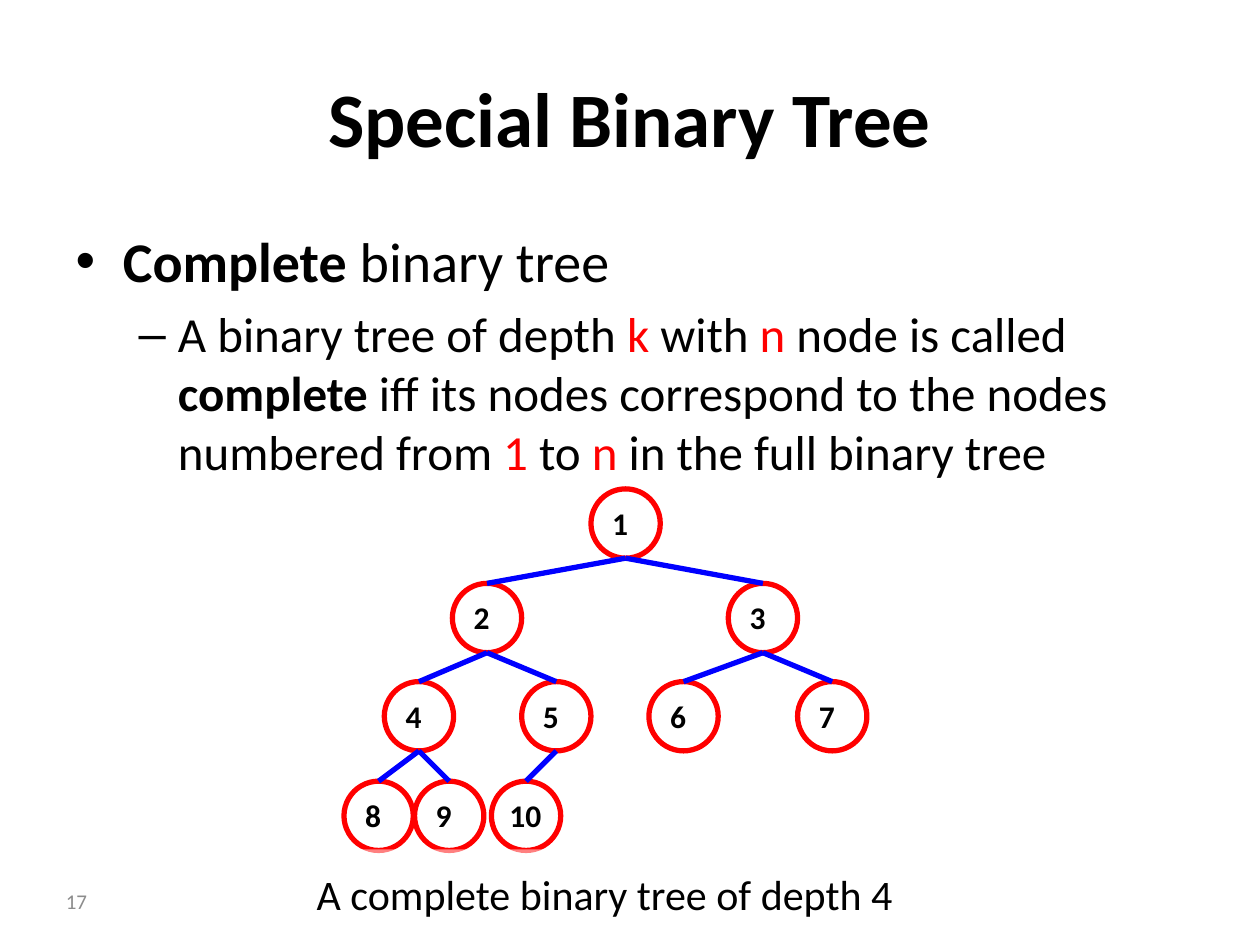
from lxml import etree
from pptx import Presentation
from pptx.dml.color import RGBColor
from pptx.enum.shapes import MSO_CONNECTOR, MSO_SHAPE
from pptx.enum.text import MSO_ANCHOR, PP_ALIGN
from pptx.oxml.ns import qn
from pptx.util import Inches, Pt

BLACK = RGBColor(0x00, 0x00, 0x00)
WHITE = RGBColor(0xFF, 0xFF, 0xFF)
RED = RGBColor(0xFF, 0x00, 0x00)
BLUE = RGBColor(0x00, 0x00, 0xFF)
GRAY = RGBColor(0x8C, 0x8C, 0x8C)

FONT = "Calibri"
LEFT, CENTER, RIGHT = PP_ALIGN.LEFT, PP_ALIGN.CENTER, PP_ALIGN.RIGHT
TOP, MIDDLE = MSO_ANCHOR.TOP, MSO_ANCHOR.MIDDLE
OVAL, RECT = MSO_SHAPE.OVAL, MSO_SHAPE.RECTANGLE
STRAIGHT = MSO_CONNECTOR.STRAIGHT

NODE_SIZE = 0.55
LINE_WIDTH = Pt(3)
LEVEL_TOPS = [0, 0.75, 1.53, 2.32]
# Left edge of each node, by level, from the left of the tree
LEVEL_LEFTS = [[1.96], [0.86, 3.05], [0.32, 1.41, 2.42, 3.6], [0, 0.56, 1.17]]

# (level, [(text, colour, bold)])
BULLETS = [
    (0, [("Complete ", BLACK, True), ("binary tree", BLACK, False)]),
    (1, [
        ("A binary tree of depth ", BLACK, False),
        ("k ", RED, False),
        ("with ", BLACK, False),
        ("n ", RED, False),
        ("node is called ", BLACK, False),
        ("complete ", BLACK, True),
        ("iff its nodes correspond to the nodes numbered from ", BLACK, False),
        ("1", RED, False),
        (" to ", BLACK, False),
        ("n", RED, False),
        (" in the full binary tree", BLACK, False),
    ]),
]
BULLET_SIZES = [32, 28]


def add_run(p, text, size, color=BLACK, bold=False):
    r = p.add_run()
    r.text = text
    r.font.name = FONT
    r.font.size = Pt(size)
    r.font.bold = bold
    r.font.color.rgb = color


def place(sp, box):
    sp.left, sp.top, sp.width, sp.height = (Inches(v) for v in box)


def set_line_of_text(sp, text, size, align, color=BLACK, bold=False,
                     anchor=TOP, inset=0.15):
    """Write one unwrapped paragraph; inset is the top and bottom margin."""
    tf = sp.text_frame
    tf.word_wrap = False
    tf.vertical_anchor = anchor
    tf.margin_left = tf.margin_right = Inches(0.1)
    tf.margin_top = tf.margin_bottom = Inches(inset)
    p = tf.paragraphs[0]
    p.alignment = align
    add_run(p, text, size, color, bold)


def add_title(slide, box):
    sp = slide.shapes.title
    place(sp, box)
    p = sp.text_frame.paragraphs[0]
    p.alignment = CENTER
    add_run(p, "Special Binary Tree", 44, bold=True)


def add_bullets(slide, box):
    sp = slide.placeholders[1]
    place(sp, box)
    tf = sp.text_frame
    for i, (level, runs) in enumerate(BULLETS):
        p = tf.add_paragraph() if i else tf.paragraphs[0]
        p.level = level
        for text, color, bold in runs:
            add_run(p, text, BULLET_SIZES[level], color, bold)


def add_node(shapes, number, x, y):
    sp = shapes.add_shape(OVAL, Inches(x), Inches(y), Inches(NODE_SIZE), Inches(NODE_SIZE))
    sp.shadow.inherit = False
    sp.fill.background()
    sp.line.color.rgb = RED
    sp.line.width = LINE_WIDTH


def add_node_label(shapes, number, x, y):
    dx, width, align = (0.07, 0.39, LEFT) if number < 10 else (-0.04, 0.62, CENTER)
    sp = shapes.add_textbox(Inches(x + dx), Inches(y - 0.03), Inches(width), Inches(0.66))
    set_line_of_text(sp, str(number), 18, align, bold=True)


def add_edge(shapes, parent, child):
    """Join the bottom of the parent to the top of the child."""
    half = NODE_SIZE / 2
    line = shapes.add_connector(
        STRAIGHT,
        Inches(parent[0] + half), Inches(parent[1] + NODE_SIZE),
        Inches(child[0] + half), Inches(child[1]))
    line.line.color.rgb = BLUE
    line.line.width = LINE_WIDTH
    etree.SubElement(line._element.spPr, qn("a:effectLst"))


def add_tree(slide, left, top):
    spots = [(left + x, top + y)
             for y, row in zip(LEVEL_TOPS, LEVEL_LEFTS) for x in row]
    nodes = dict(enumerate(spots, start=1))
    shapes = slide.shapes.add_group_shape().shapes
    for number, (x, y) in nodes.items():
        add_node(shapes, number, x, y)
    for number in range(2, len(nodes) + 1):
        add_edge(shapes, nodes[number // 2], nodes[number])
    for number, (x, y) in nodes.items():
        add_node_label(shapes, number, x, y)


def add_caption(slide, box):
    sp = slide.shapes.add_shape(RECT, *(Inches(v) for v in box))
    sp.shadow.inherit = False
    sp.line.fill.background()
    sp.fill.solid()
    sp.fill.fore_color.rgb = WHITE
    color = sp._element.spPr.find(qn("a:solidFill"))[0]
    etree.SubElement(color, qn("a:alpha"), val="50000")
    set_line_of_text(sp, "A complete binary tree of depth 4", 24, CENTER)


def add_slide_number(slide, box):
    sp = slide.shapes.add_textbox(*(Inches(v) for v in box))
    set_line_of_text(sp, "17", 12, RIGHT, GRAY, anchor=MIDDLE, inset=0.05)


def main():
    prs = Presentation()
    prs.slide_width, prs.slide_height = Inches(10), Inches(7.5)
    slide = prs.slides.add_slide(prs.slide_layouts[1])
    add_title(slide, (0.5, 0.3, 9, 1.25))
    add_bullets(slide, (0.5, 1.75, 9, 4.95))
    add_tree(slide, 2.73, 3.88)
    add_caption(slide, (2.32, 6.74, 4.96, 0.71))
    add_slide_number(slide, (0.2, 6.95, 0.59, 0.4))
    prs.save("out.pptx")


if __name__ == "__main__":
    main()
